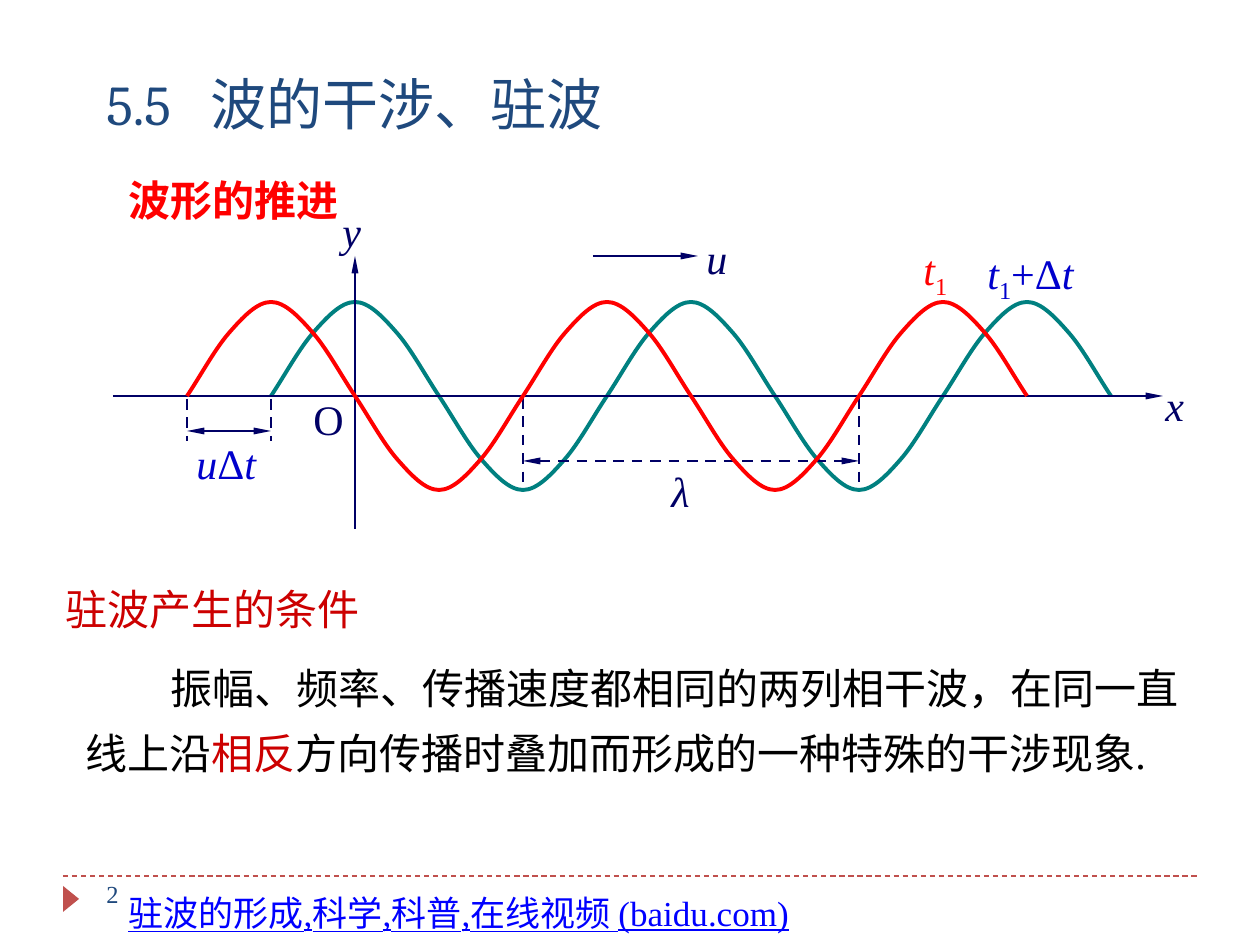
import pptx
import pptx.dml.color
import pptx.enum.dml
import pptx.enum.shapes
import pptx.oxml.ns
import pptx.util
import lxml.etree

PX = 914400 // 126
SERIF = "Times New Roman"
COLORS = {
    "navy": "000066", "blue": "0000CC", "link": "0000FF", "red": "FF0000",
    "crimson": "CC0000", "teal": "008080", "title": "1F497D",
    "accent": "C0504D", "black": "000000",
}
AXIS_Y = 396
STEP = 14
HALF_WAVE = [0, 21, 47, 63, 79, 94, 94, 94, 79, 63, 47, 21]
WAVELENGTH = 2 * STEP * len(HALF_WAVE)
WAVE_START = 187
SHIFT = WAVELENGTH // 4
ORIGIN_X = WAVE_START + WAVELENGTH // 2
TROUGH_X = ORIGIN_X + WAVELENGTH // 2


def rgb(name):
    return pptx.dml.color.RGBColor.from_string(COLORS[name])


def sub(parent, tag, **attrs):
    return lxml.etree.SubElement(parent, pptx.oxml.ns.qn(tag), attrs)


def add_text(s, box, runs, color, size=24, font=SERIF, wrap=True,
             indent=0, tab=0, spacing=None):
    sp = s.shapes.add_textbox(*(v * PX for v in box))
    tf = sp.text_frame
    tf.word_wrap = wrap
    p = tf.paragraphs[0]
    pPr = p._p.get_or_add_pPr()
    if indent:
        pPr.set("indent", str(indent * PX))
    if tab:
        sub(sub(pPr, "a:tabLst"), "a:tab", pos=str(tab * PX), algn="l")
    if spacing:
        p.line_spacing = spacing
    for text, style in runs:
        r = p.add_run()
        r.text = text
        r.font.size = pptx.util.Pt(size)
        r.font.name = font
        r.font.color.rgb = rgb(style.get("color", color))
        r.font.bold = style.get("bold")
        r.font.italic = style.get("italic")
        r.font.underline = style.get("underline")
        if "sub" in style:
            r.font._element.set("baseline", "-25000")


def add_line(s, start, end, color="navy", width=1.5, dash=False, arrows=()):
    points = (v * PX for v in start + end)
    c = s.shapes.add_connector(pptx.enum.shapes.MSO_CONNECTOR.STRAIGHT, *points)
    c.line.color.rgb = rgb(color)
    c.line.width = pptx.util.Pt(width)
    if dash:
        c.line.dash_style = pptx.enum.dml.MSO_LINE.DASH
    ln = c.line._get_or_add_ln()
    for arrow in arrows:
        sub(ln, arrow, type="triangle", w="sm", len="lg")
    sub(c._element.spPr, "a:effectLst")


def add_wave(s, left, color, halves=5):
    count = halves * len(HALF_WAVE) + 1
    points = []
    for i in range(count):
        half, k = divmod(i, len(HALF_WAVE))
        sign = -1 if half % 2 == 0 else 1
        points.append((left + i * STEP, AXIS_Y + sign * HALF_WAVE[k]))
    builder = s.shapes.build_freeform(*points[0], scale=PX)
    builder.add_line_segments(points[1:], close=False)
    sp = builder.convert_to_shape()
    sp.shadow.inherit = False
    sp.fill.background()
    sp.line.color.rgb = rgb(color)
    sp.line.width = pptx.util.Pt(2.25)
    outline = next(sp._element.iter(pptx.oxml.ns.qn("a:path")))
    segments = outline.findall(pptx.oxml.ns.qn("a:lnTo"))
    for i in range(0, len(segments), 3):
        curve = sub(outline, "a:cubicBezTo")
        for segment in segments[i:i + 3]:
            curve.append(segment[0])
            outline.remove(segment)


def add_footer(s):
    add_line(s, (63, 876), (1197, 876), "accent", 0.75, dash=True)
    sp = s.shapes.add_shape(
        pptx.enum.shapes.MSO_SHAPE.ISOSCELES_TRIANGLE,
        *(v * PX for v in (58, 891, 26, 16)))
    sp.rotation = 90
    sp.shadow.inherit = False
    sp.fill.solid()
    sp.fill.fore_color.rgb = rgb("accent")
    sp.line.fill.background()
    add_text(s, (94, 873, 315, 50), [("2", {})], "title", 14)
    add_text(s, (116, 885, 1040, 55),
             [("驻波的形成,科学,科普,在线视频 (baidu.com)", {"underline": True})],
             "link", 20)


def add_diagram(s):
    head, tail = "a:headEnd", "a:tailEnd"
    italic = {"italic": True}
    add_wave(s, WAVE_START + SHIFT, "teal")
    add_line(s, (113, AXIS_Y), (1163, AXIS_Y), arrows=[tail])
    add_line(s, (ORIGIN_X, 529), (ORIGIN_X, 256), arrows=[tail])
    for x in (TROUGH_X, TROUGH_X + WAVELENGTH):
        add_line(s, (x, 398), (x, 482), dash=True)
    add_line(s, (TROUGH_X, 461), (TROUGH_X + WAVELENGTH, 461),
             dash=True, arrows=[head, tail])
    add_wave(s, WAVE_START, "red")
    for x in (WAVE_START, WAVE_START + SHIFT):
        add_line(s, (x, 399), (x, 441), dash=True)
    add_line(s, (WAVE_START, 431), (WAVE_START + SHIFT, 431),
             arrows=[head, tail])
    add_line(s, (593, 256), (698, 256), arrows=[tail])

    for text, left, top, width, style in (
            ("y", 330, 199, 44, italic),
            ("x", 1153, 373, 44, italic),
            ("O", 301, 387, 55, {})):
        add_text(s, (left, top, width, 63), [(text, style)], "navy", wrap=False)
    add_text(s, (659, 459, 95, 63), [("λ", italic)], "navy")
    add_text(s, (694, 226, 95, 63), [("u", italic)], "navy")
    t1 = [("t", italic), ("1", {"sub": True})]
    delta_t = [("Δ", {}), ("t", italic)]
    add_text(s, (901, 237, 95, 63), t1, "red", indent=10)
    add_text(s, (965, 241, 179, 63), t1 + [("+", {})] + delta_t, "blue", indent=10)
    add_text(s, (174, 431, 158, 63), [("u", italic)] + delta_t, "blue", indent=10)


def main():
    prs = pptx.Presentation()
    prs.slide_width = 1260 * PX
    prs.slide_height = 945 * PX
    s = prs.slides.add_slide(prs.slide_layouts[6])
    add_footer(s)
    add_text(s, (53, 577, 557, 63), [("驻波产生的条件", {})], "crimson")
    add_text(s, (73, 641, 1134, 145), [
        ("振幅、频率、传播速度都相同的两列相干波，在同一直线上沿", {}),
        ("相反", {"color": "crimson"}),
        ("方向传播时叠加而形成的一种特殊的干涉现象.", {}),
    ], "black", indent=85, spacing=1.3)
    add_text(s, (94, 63, 1134, 126), [("5.5\t波的干涉、驻波", {})],
             "title", 32, "Cambria", tab=104)
    add_diagram(s)
    add_text(s, (116, 168, 315, 63), [("波形的推进", {"bold": True})], "red")
    prs.save("out.pptx")


if __name__ == "__main__":
    main()
